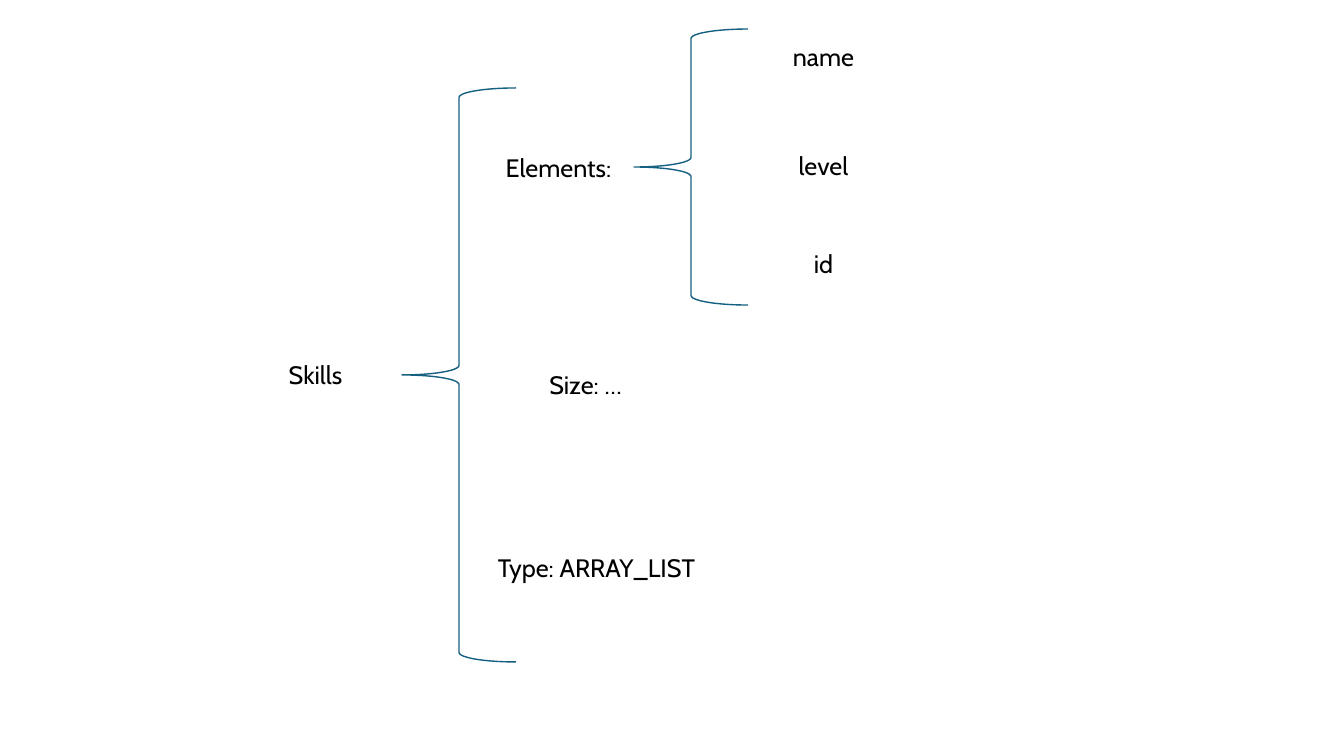
"""Build a brace diagram of the Skills list and its parts."""
import dataclasses

import pptx
import pptx.dml.color
import pptx.enum.shapes
import pptx.enum.text
import pptx.slide
import pptx.util

EMU_PER_PX = 914400 / 100.8
SLIDE_WIDTH, SLIDE_HEIGHT = 1344, 756
LABEL_WIDTH, LABEL_HEIGHT = 303, 40
BRACE_WIDTH = 114
FONT = "Cabin"
TEXT_COLOR = "000000"
BRACE_COLOR = "156082"


@dataclasses.dataclass(frozen=True)
class Label:
    text: str
    left: int
    top: int


@dataclasses.dataclass(frozen=True)
class Brace:
    left: int
    top: int
    height: int


FIELD_LEFT = 672
LABELS = [
    Label("Skills", 164, 354),
    Label("Elements:", 407, 147),
    Label("Size: …", 434, 364),
    Label("Type: ARRAY_LIST", 445, 547),
    Label("name", FIELD_LEFT, 36),
    Label("level", FIELD_LEFT, 145),
    Label("id", FIELD_LEFT, 243),
]
BRACES = [Brace(402, 88, 574), Brace(634, 29, 276)]


def px(length: int) -> pptx.util.Emu:
    return pptx.util.Emu(round(length * EMU_PER_PX))


def color(value: str) -> pptx.dml.color.RGBColor:
    return pptx.dml.color.RGBColor.from_string(value)


def draw_label(slide: pptx.slide.Slide, label: Label) -> None:
    box = slide.shapes.add_textbox(
        px(label.left), px(label.top), px(LABEL_WIDTH), px(LABEL_HEIGHT)
    )
    frame = box.text_frame
    frame.word_wrap = True
    frame.auto_size = pptx.enum.text.MSO_AUTO_SIZE.SHAPE_TO_FIT_TEXT
    paragraph = frame.paragraphs[0]
    paragraph.text = label.text
    paragraph.alignment = pptx.enum.text.PP_ALIGN.CENTER
    paragraph.font.name = FONT
    paragraph.font.size = pptx.util.Pt(18)
    paragraph.font.color.rgb = color(TEXT_COLOR)


def draw_brace(slide: pptx.slide.Slide, brace: Brace) -> None:
    outline = slide.shapes.add_shape(
        pptx.enum.shapes.MSO_SHAPE.LEFT_BRACE,
        px(brace.left), px(brace.top), px(BRACE_WIDTH), px(brace.height),
    )
    outline.shadow.inherit = False
    outline.fill.background()
    outline.line.color.rgb = color(BRACE_COLOR)
    outline.line.width = pptx.util.Pt(1)


def main() -> None:
    presentation = pptx.Presentation()
    presentation.slide_width = px(SLIDE_WIDTH)
    presentation.slide_height = px(SLIDE_HEIGHT)
    slide = presentation.slides.add_slide(presentation.slide_layouts[6])
    for brace in BRACES:
        draw_brace(slide, brace)
    for label in LABELS:
        draw_label(slide, label)
    presentation.save("out.pptx")


if __name__ == "__main__":
    main()
